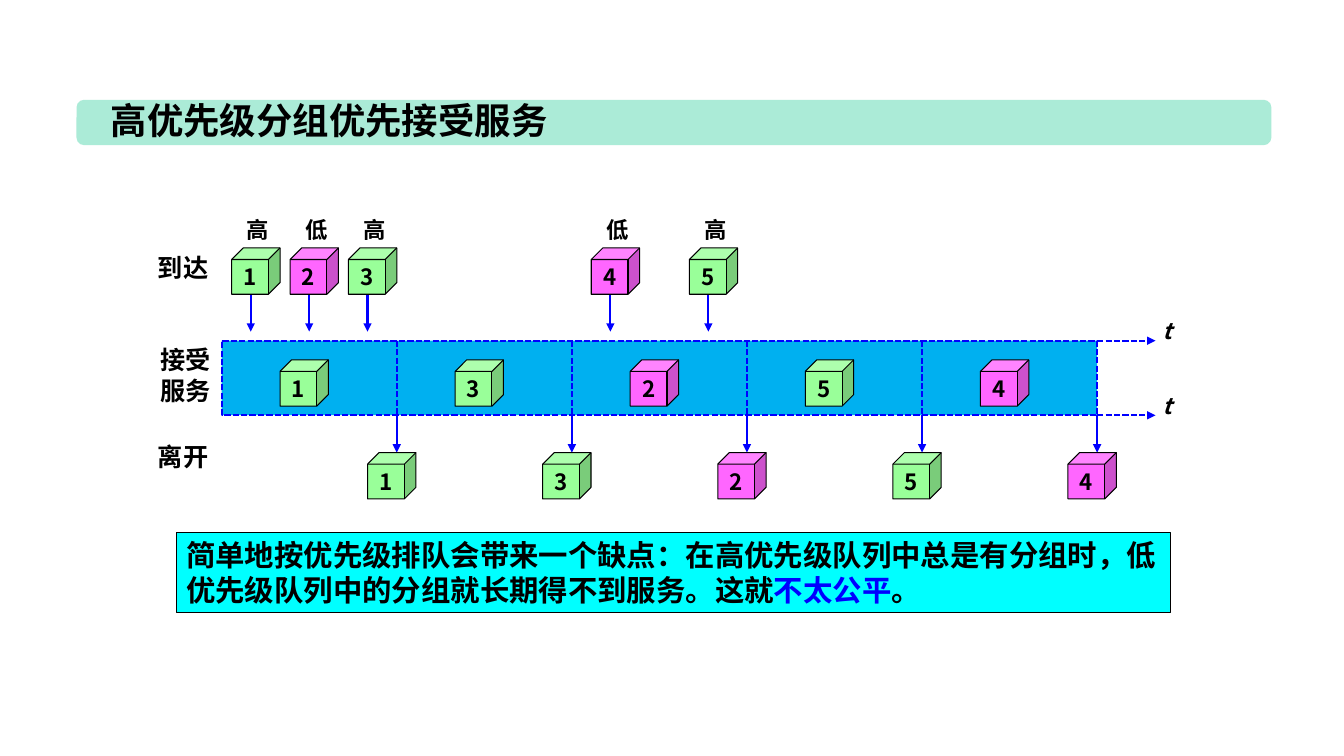
from lxml import etree
from pptx import Presentation, util as u
from pptx.dml.color import RGBColor
from pptx.enum import dml, shapes, text
from pptx.oxml.ns import qn

FONT = "Noto Sans CJK SC"
BLACK, BLUE = "000000", "0000FF"
COLOURS = {"高": "99FF99", "低": "FF66FF"}
PRIORITY = {1: "高", 2: "低", 3: "高", 4: "低", 5: "高"}
ARRIVALS = {1: 1 / 6, 2: 1 / 2, 3: 5 / 6, 4: 2.22, 5: 2.78}  # in service slots
SERVICE_ORDER = [1, 3, 2, 5, 4]

BAND_LEFT, BAND_TOP, BAND_BOTTOM = 2.2, 3.38, 4.12
SLOT = 1.738
BAND_RIGHT = BAND_LEFT + SLOT * len(SERVICE_ORDER)
CUBE_W, CUBE_H = 0.48, 0.46
ARRIVAL_TOP, SERVICE_TOP, DEPARTURE_TOP = 2.46, 3.57, 4.49
ARROW = 0.37

deck = Presentation()
deck.slide_width, deck.slide_height = u.Inches(13.34), u.Inches(7.5)
page = deck.slides.add_slide(deck.slide_layouts[5])


def write(box, lines, size, align=text.PP_ALIGN.LEFT, anchor=text.MSO_ANCHOR.TOP,
          wrap=False, italic=False):
    """Fill a box with lines, each a list of (words, colour) spans."""
    frame = box.text_frame
    layout = {"word_wrap": wrap, "vertical_anchor": anchor,
              "auto_size": text.MSO_AUTO_SIZE.NONE,
              "margin_left": u.Inches(0.1), "margin_right": u.Inches(0.1),
              "margin_top": u.Inches(0.05), "margin_bottom": u.Inches(0.05)}
    for name, value in layout.items():
        setattr(frame, name, value)
    for index, spans in enumerate(lines):
        para = frame.add_paragraph() if index else frame.paragraphs[0]
        para.alignment = align
        for words, colour in spans:
            span = para.add_run()
            span.text = words
            style = {"name": FONT, "size": u.Pt(size), "bold": True, "italic": italic}
            for name, value in style.items():
                setattr(span.font, name, value)
            span.font.color.rgb = RGBColor.from_string(colour)
            properties = span.font.fill._xPr
            etree.SubElement(properties, qn("a:ea"), typeface=FONT)


def draw(kind, place, fill=None, line=None, width=0.75, dashed=False, arrow=False):
    """Add a shape at (left, top, width, height), or a line (x1, y1, x2, y2) if kind is None."""
    lengths = [u.Inches(length) for length in place]
    if kind is None:
        item = page.shapes.add_connector(shapes.MSO_CONNECTOR.STRAIGHT, *lengths)
    else:
        item = page.shapes.add_shape(kind, *lengths)
        item.shadow.inherit = False
        item.fill.solid()
        item.fill.fore_color.rgb = RGBColor.from_string(fill)
    if line is None:
        item.line.fill.background()
        return item
    item.line.color.rgb = RGBColor.from_string(line)
    item.line.width = u.Pt(width)
    if dashed:
        item.line.dash_style = dml.MSO_LINE.SQUARE_DOT
    if kind is None:
        properties = item.element.spPr
        if arrow:
            etree.SubElement(properties.find(qn("a:ln")), qn("a:tailEnd"), type="triangle")
        etree.SubElement(properties, qn("a:effectLst"))
    return item


# Title on its green bar
title = page.shapes.title
bar = draw(shapes.MSO_SHAPE.ROUNDED_RECTANGLE, (0.76, 0.99, 11.86, 0.45), "ABEBD7")
title.element.addprevious(bar.element)
title.left, title.top, title.width, title.height = map(u.Inches, (1, 0.92, 4.54, 0.54))
write(title, [[("高优先级分组优先接受服务", BLACK)]], 26)

# Service band, divided into equal slots
draw(shapes.MSO_SHAPE.RECTANGLE,
     (BAND_LEFT, BAND_TOP, BAND_RIGHT - BAND_LEFT, BAND_BOTTOM - BAND_TOP),
     "00B0F0", BLUE, 1.5, dashed=True)
for slot in range(1, len(SERVICE_ORDER)):
    x = BAND_LEFT + slot * SLOT
    draw(None, (x, BAND_TOP, x, BAND_BOTTOM), line=BLUE, width=1.5, dashed=True)
for y in (BAND_TOP, BAND_BOTTOM):
    draw(None, (BAND_RIGHT, y, BAND_RIGHT + SLOT / 3, y),
         line=BLUE, width=1.5, dashed=True, arrow=True)

# Packets: (number, left, top) of every cube, and the arrows between the rows
cubes, arrows, labels = [], [], []
for number, time in ARRIVALS.items():
    x = BAND_LEFT + time * SLOT
    cubes.append((number, x - 0.19, ARRIVAL_TOP))
    arrows.append((x, ARRIVAL_TOP + CUBE_H))
    labels.append((PRIORITY[number], x - 0.14, 2.09, 0.42, 16, False))
for slot, number in enumerate(SERVICE_ORDER):
    start = BAND_LEFT + slot * SLOT
    cubes.append((number, start + SLOT / 3, SERVICE_TOP))
    cubes.append((number, start + SLOT - SLOT / 6, DEPARTURE_TOP))
    arrows.append((start + SLOT, BAND_BOTTOM))
for x, y in arrows:
    draw(None, (x, y, x, y + ARROW), line=BLUE, width=1.5, arrow=True)
for number, left, top in cubes:
    cube = draw(shapes.MSO_SHAPE.CUBE, (left, top, CUBE_W, CUBE_H),
                COLOURS[PRIORITY[number]], BLACK)
    write(cube, [[(str(number), BLACK)]], 16, text.PP_ALIGN.CENTER, text.MSO_ANCHOR.MIDDLE)

# Row names, priorities and time axes
labels += [("到达", 1.47, 2.45, 0.7, 18, False),
           ("接受\n服务", 1.49, 3.37, 0.7, 18, False),
           ("离开", 1.47, 4.33, 0.7, 18, False),
           ("t", 11.44, 3.1, 0.29, 16, True),
           ("t", 11.44, 3.84, 0.29, 16, True)]
for words, left, top, width, size, italic in labels:
    lines = [[(line, BLACK)] for line in words.split("\n")]
    height = 0.1 + len(lines) * size / 60
    box = page.shapes.add_textbox(*map(u.Inches, (left, top, width, height)))
    write(box, lines, size, italic=italic)

# Conclusion
note = draw(shapes.MSO_SHAPE.RECTANGLE, (1.75, 5.28, 9.87, 0.8), "00FFFF", BLACK)
write(note, [[("简单地按优先级排队会带来一个缺点：在高优先级队列中总是有分组时，"
               "低优先级队列中的分组就长期得不到服务。这就", BLACK),
              ("不太公平", BLUE), ("。", BLACK)]], 21, wrap=True)

deck.save("out.pptx")
